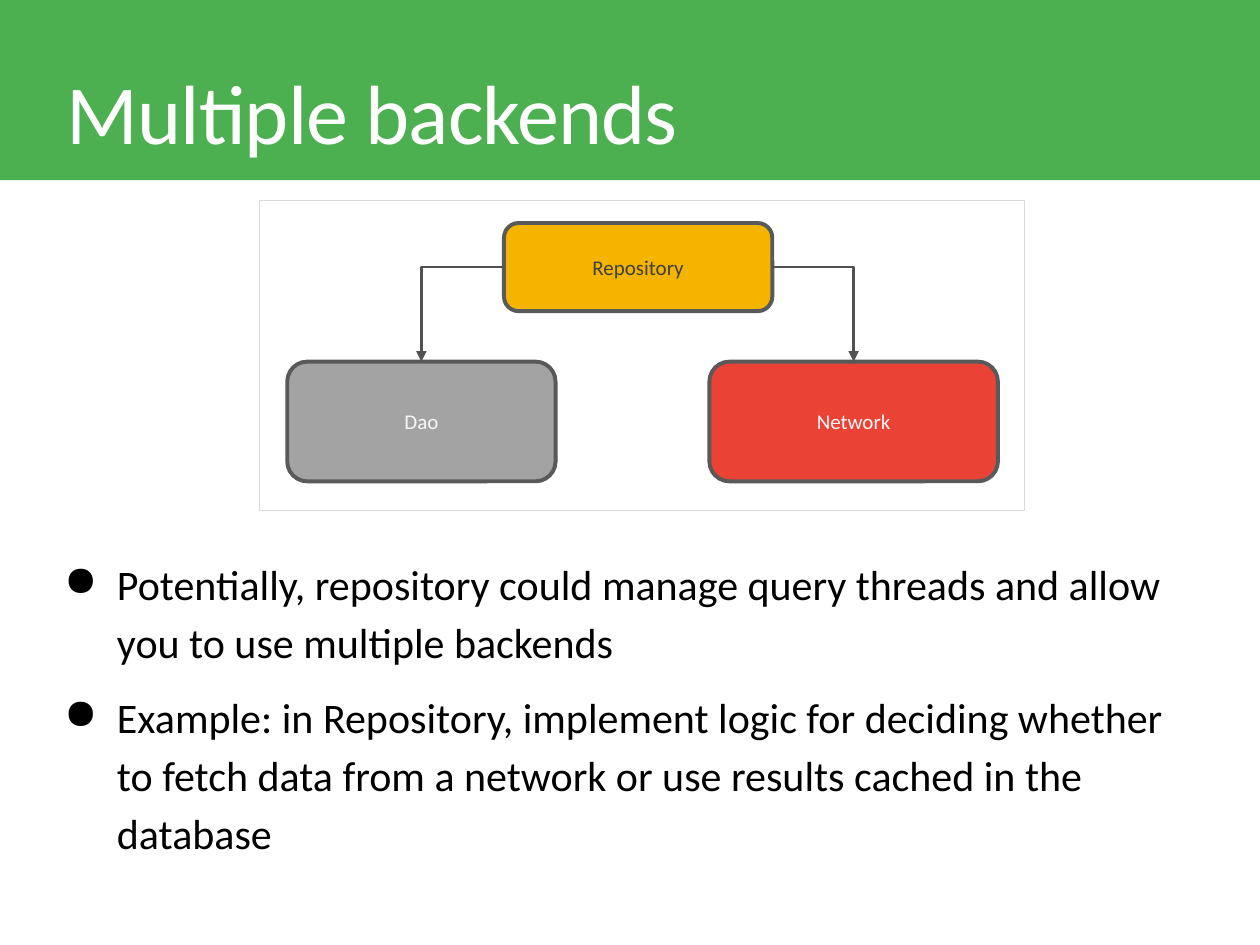
from lxml import etree
from pptx import Presentation
from pptx.dml.color import RGBColor
from pptx.enum.shapes import MSO_CONNECTOR, MSO_SHAPE
from pptx.enum.text import MSO_ANCHOR, MSO_AUTO_SIZE, PP_ALIGN
from pptx.oxml.ns import qn
from pptx.util import Inches, Pt

RECTANGLE, ROUNDED = MSO_SHAPE.RECTANGLE, MSO_SHAPE.ROUNDED_RECTANGLE
ELBOW = MSO_CONNECTOR.ELBOW
TOP, MIDDLE = MSO_ANCHOR.TOP, MSO_ANCHOR.MIDDLE
LEFT, CENTER = PP_ALIGN.LEFT, PP_ALIGN.CENTER
NO_AUTOSIZE = MSO_AUTO_SIZE.NONE
SITE_TOP, SITE_LEFT, SITE_RIGHT = 0, 1, 3

FONT = "Calibri"
COLORS = {
    "white": "FFFFFF",
    "black": "000000",
    "band": "4CAF50",
    "frame": "D9D9D9",
    "outline": "595959",
    "arrow": "515151",
    "repository": "F4B400",
    "dao": "A3A3A3",
    "network": "EA4335",
    "dark text": "404040",
    "light text": "F6F6F6",
}
BULLETS = [
    "Potentially, repository could manage query threads and allow "
    "you to use multiple backends",
    "Example: in Repository, implement logic for deciding whether "
    "to fetch data from a network or use results cached in the database",
]


def color(name):
    return RGBColor.from_string(COLORS[name])


def set_font(para, size, color_name):
    para.font.name = FONT
    para.font.size = Pt(size)
    para.font.color.rgb = color(color_name)


def set_frame(frame, anchor):
    frame.word_wrap = True
    frame.auto_size = NO_AUTOSIZE
    frame.vertical_anchor = anchor
    frame.margin_left = frame.margin_right = Inches(0.1)
    frame.margin_top = frame.margin_bottom = Inches(0.1)


def add_box(slide, kind, left, top, width, height, fill, line=None, line_width=0.75):
    box = slide.shapes.add_shape(
        kind, Inches(left), Inches(top), Inches(width), Inches(height))
    box.shadow.inherit = False
    box.fill.solid()
    box.fill.fore_color.rgb = color(fill)
    if line:
        box.line.color.rgb = color(line)
        box.line.width = Pt(line_width)
    else:
        box.line.fill.background()
    return box


def add_node(slide, label, left, top, width, height, fill, text_color):
    node = add_box(slide, ROUNDED, left, top, width, height, fill, "outline", 2.25)
    set_frame(node.text_frame, MIDDLE)
    para = node.text_frame.paragraphs[0]
    para.text = label
    para.alignment = CENTER
    set_font(para, 12, text_color)
    return node


def add_arrow(slide, source, source_site, target):
    """Draw a one-bend arrow from a side of source to the top of target."""
    arrow = slide.shapes.add_connector(ELBOW, 0, 0, 0, 0)
    arrow.begin_connect(source, source_site)
    arrow.end_connect(target, SITE_TOP)
    arrow.line.color.rgb = color("arrow")
    arrow.line.width = Pt(1.5)
    properties = arrow._element.spPr
    properties.find(qn("a:prstGeom")).set("prst", "bentConnector2")
    line = properties.find(qn("a:ln"))
    etree.SubElement(line, qn("a:tailEnd"), type="triangle")
    etree.SubElement(properties, qn("a:effectLst"))


def add_title(slide, text):
    title = slide.shapes.title
    title.left, title.top = Inches(0.43), Inches(0.5)
    title.width, title.height = Inches(9.43), Inches(0.63)
    set_frame(title.text_frame, TOP)
    para = title.text_frame.paragraphs[0]
    span = para.add_run()
    span.text = text
    para.alignment = LEFT
    para.line_spacing = 0.85
    set_font(para, 48, "white")
    span.font._element.set("spc", "-50")


def add_bullets(slide, texts):
    box = slide.shapes.add_textbox(
        Inches(0.33), Inches(4.27), Inches(9.32), Inches(2.83))
    frame = box.text_frame
    set_frame(frame, TOP)
    for index, text in enumerate(texts):
        para = frame.add_paragraph() if index else frame.paragraphs[0]
        para.text = text
        para.line_spacing = 1.15
        if index:
            para.space_before = Pt(10)
        properties = para._p.get_or_add_pPr()
        properties.set("marL", str(Inches(0.5)))
        properties.set("indent", str(Inches(-0.42)))
        bullet_color = etree.SubElement(properties, qn("a:buClr"))
        etree.SubElement(bullet_color, qn("a:srgbClr"), val=COLORS["black"])
        etree.SubElement(properties, qn("a:buChar"), char="●")
        set_font(para, 24, "black")


def add_diagram(slide):
    add_box(slide, RECTANGLE, 2.06, 1.59, 6.07, 2.46, "white", "frame")
    repository = add_node(
        slide, "Repository", 4, 1.77, 2.13, 0.7, "repository", "dark text")
    dao = add_node(slide, "Dao", 2.28, 2.87, 2.13, 0.95, "dao", "light text")
    network = add_node(
        slide, "Network", 5.63, 2.87, 2.29, 0.95, "network", "light text")
    add_arrow(slide, repository, SITE_RIGHT, network)
    add_arrow(slide, repository, SITE_LEFT, dao)


def main():
    deck = Presentation()
    deck.slide_width, deck.slide_height = Inches(10), Inches(7.5)
    slide = deck.slides.add_slide(deck.slide_layouts[5])
    band = add_box(slide, RECTANGLE, 0, 0, 10, 1.43, "band")
    slide.shapes._spTree.insert(2, band._element)  # behind the title
    add_title(slide, "Multiple backends")
    add_bullets(slide, BULLETS)
    add_diagram(slide)
    deck.save("out.pptx")


if __name__ == "__main__":
    main()
